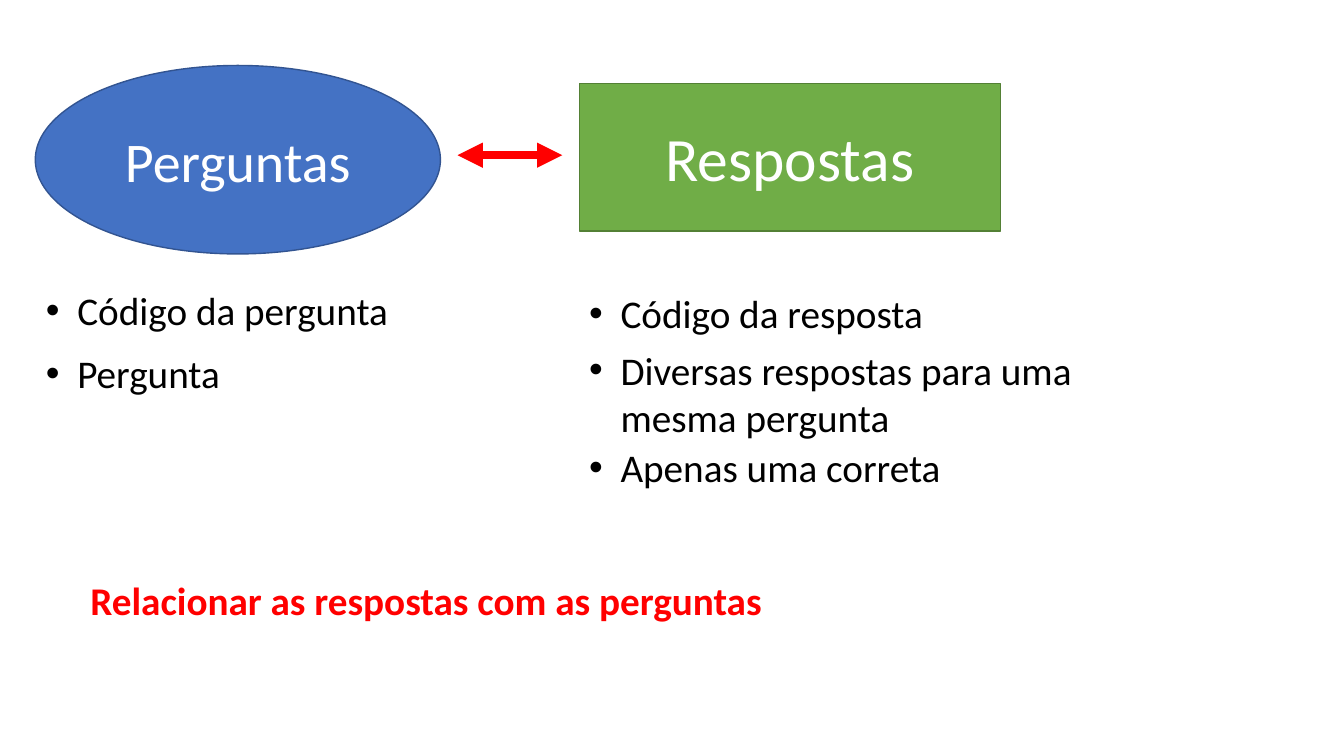
from lxml import etree
from pptx import Presentation
from pptx.dml.color import RGBColor
from pptx.enum.shapes import MSO_CONNECTOR, MSO_SHAPE
from pptx.enum.text import MSO_ANCHOR, MSO_AUTO_SIZE, PP_ALIGN
from pptx.oxml.ns import qn
from pptx.util import Cm, Pt

OVAL, RECTANGLE = MSO_SHAPE.OVAL, MSO_SHAPE.RECTANGLE
STRAIGHT = MSO_CONNECTOR.STRAIGHT
MIDDLE, TOP = MSO_ANCHOR.MIDDLE, MSO_ANCHOR.TOP
CENTER, LEFT = PP_ALIGN.CENTER, PP_ALIGN.LEFT
GROW = MSO_AUTO_SIZE.SHAPE_TO_FIT_TEXT

FONT = "Calibri"
RED = "FF0000"
LINE_HEIGHT = 1.45
INDENT = 0.79

ENTITIES = [
    ("Perguntas", OVAL, (0.89, 1.65, 10.21, 4.75), "4472C4", "325491", 40),
    ("Respostas", RECTANGLE, (14.6, 2.11, 10.62, 3.71), "70AD47", "538035", 44),
]
BULLETS = [
    ("Código da pergunta", (0.91, 7.09, 10.62, LINE_HEIGHT)),
    ("Pergunta", (0.91, 8.69, 8.1, LINE_HEIGHT)),
    ("Código da resposta", (14.6, 7.16, 10.62, LINE_HEIGHT)),
    ("Diversas respostas para uma mesma pergunta", (14.6, 8.59, 13.31, 2.64)),
    ("Apenas uma correta", (14.6, 11.05, 10.62, LINE_HEIGHT)),
]
CONCLUSION = ("Relacionar as respostas com as perguntas", (2.03, 14.4, 18.14, LINE_HEIGHT))
ARROW = (11.53, 3.91, 14.17, 3.91)


def color(value):
    return RGBColor.from_string(value)


def lengths(values):
    return [Cm(value) for value in values]


def write(shape, text, size=28, fill="000000", bold=False, align=LEFT, anchor=TOP, bullet=False):
    frame = shape.text_frame
    frame.word_wrap = True
    frame.vertical_anchor = anchor
    paragraph = frame.paragraphs[0]
    paragraph.alignment = align
    run = paragraph.add_run()
    run.text = text
    run.font.name = FONT
    run.font.size = Pt(size)
    run.font.bold = bold
    run.font.color.rgb = color(fill)
    if bullet:
        properties = paragraph._p.get_or_add_pPr()
        properties.set("marL", str(Cm(INDENT)))
        properties.set("indent", str(-Cm(INDENT)))
        etree.SubElement(properties, qn("a:buFont"), typeface="Arial")
        etree.SubElement(properties, qn("a:buChar"), char="•")


def add_text(slide, text, box, **text_format):
    shape = slide.shapes.add_textbox(*lengths(box))
    write(shape, text, **text_format)
    shape.text_frame.auto_size = GROW


def add_entity(slide, text, kind, box, fill, outline, size):
    shape = slide.shapes.add_shape(kind, *lengths(box))
    shape.shadow.inherit = False
    shape.fill.solid()
    shape.fill.fore_color.rgb = color(fill)
    shape.line.color.rgb = color(outline)
    shape.line.width = Pt(1)
    write(shape, text, size=size, fill="FFFFFF", align=CENTER, anchor=MIDDLE)


def add_double_arrow(slide, ends):
    connector = slide.shapes.add_connector(STRAIGHT, *lengths(ends))
    connector.line.color.rgb = color(RED)
    connector.line.width = Pt(6)
    line = connector.line._get_or_add_ln()
    for end in ("a:headEnd", "a:tailEnd"):
        etree.SubElement(line, qn(end), type="triangle")
    etree.SubElement(connector._element.spPr, qn("a:effectLst"))


presentation = Presentation()
presentation.slide_width, presentation.slide_height = Cm(33.87), Cm(19.05)
slide = presentation.slides.add_slide(presentation.slide_layouts[6])

for entity in ENTITIES:
    add_entity(slide, *entity)
for text, box in BULLETS:
    add_text(slide, text, box, bullet=True)
add_text(slide, *CONCLUSION, fill=RED, bold=True)
add_double_arrow(slide, ARROW)

presentation.save("out.pptx")
